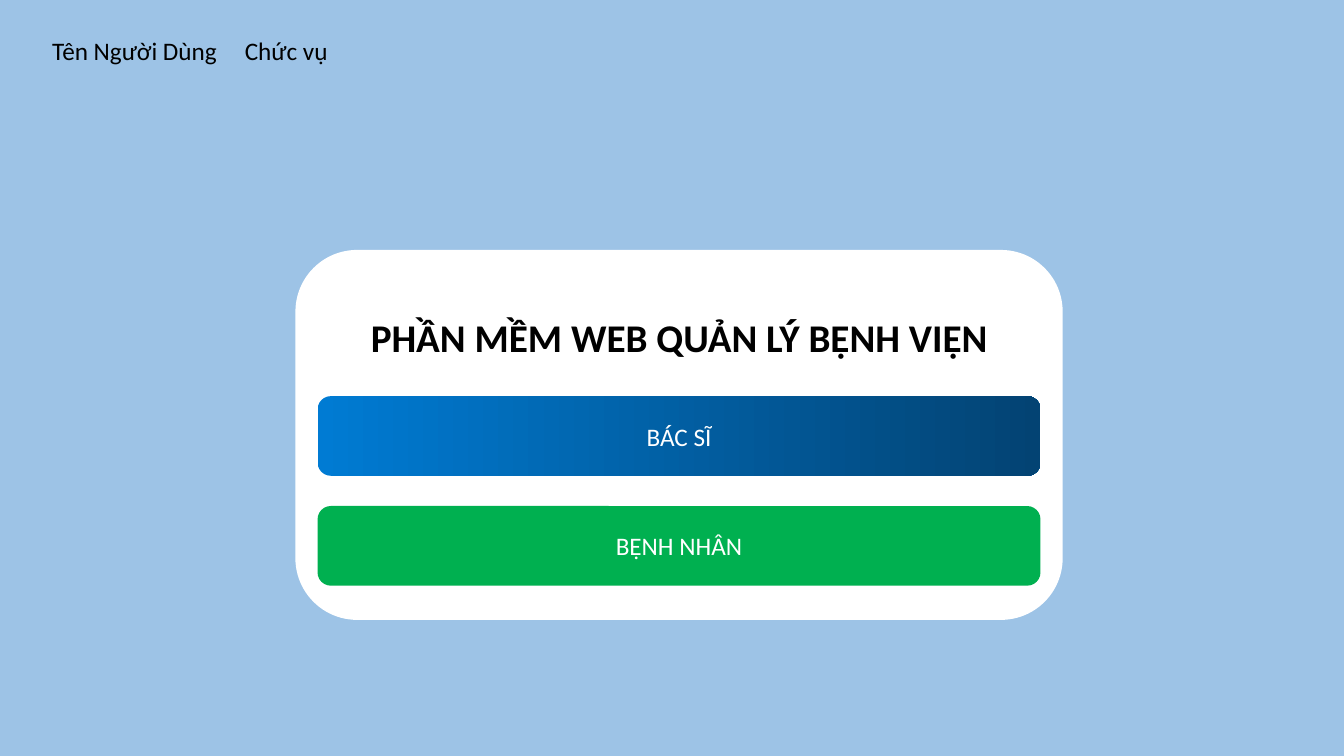
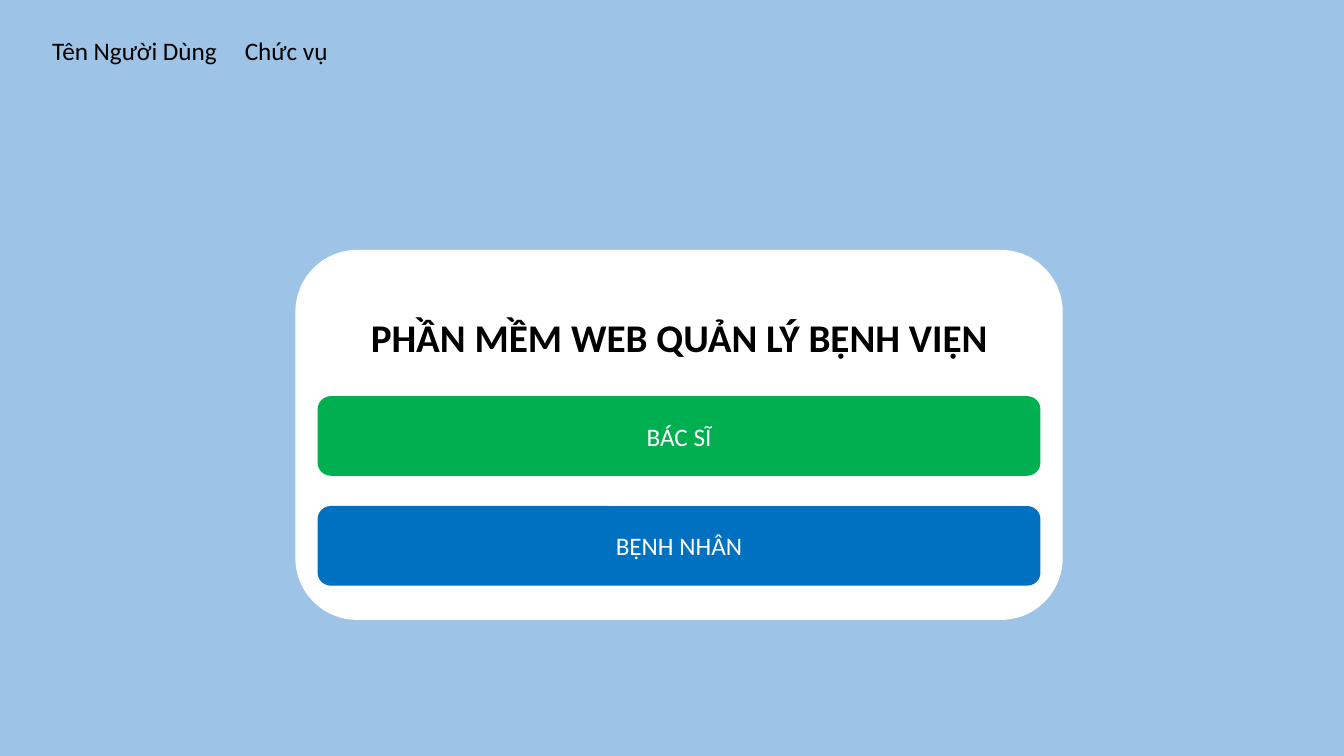
from lxml.etree import SubElement
from pptx import Presentation
from pptx.dml.color import RGBColor
from pptx.enum.shapes import MSO_SHAPE as Shape
from pptx.enum.text import MSO_ANCHOR as Anchor, PP_ALIGN as Align
from pptx.oxml.ns import qn
from pptx.util import Inches, Pt

SKY, WHITE, BLACK = "9DC3E6", "FFFFFF", "000000"
GREEN, BLUE = "00B050", "0070C0"
FADE = ("007BD3", "034373")
FONT = "Calibri"
CARD_X, CARD_W = 2.93, 7.61
BTN_X, BTN_Y, BTN_W, BTN_H, BTN_STEP = 3.15, 3.93, 7.17, 0.79, 1.09
ROLES = ("BÁC SĨ", "BỆNH NHÂN")


def rgb(code):
    return RGBColor.from_string(code)


class Deck:
    def __init__(self):
        self.prs = Presentation()
        self.prs.slide_width = Inches(13.33)
        self.prs.slide_height = Inches(7.5)

    def page(self):
        self.slide = self.prs.slides.add_slide(self.prs.slide_layouts[6])
        back = self.slide.background.fill
        back.solid()
        back.fore_color.rgb = rgb(SKY)

    def label(self, frame, text, size, color, align, bold=False):
        frame.word_wrap = True
        para = frame.paragraphs[0]
        para.text, para.alignment = text, align
        font = para.font
        font.name, font.size, font.bold = FONT, Pt(size), bold
        font.color.rgb = rgb(color)
        return para

    def text(self, x, y, w, h, text, size, align=Align.LEFT, bold=False):
        box = self.slide.shapes.add_textbox(
            Inches(x), Inches(y), Inches(w), Inches(h))
        return self.label(box.text_frame, text, size, BLACK, align, bold)

    def panel(self, x, y, w, h, paint):
        """Add a rounded box; paint is one colour or a pair to fade across."""
        box = self.slide.shapes.add_shape(
            Shape.ROUNDED_RECTANGLE, Inches(x), Inches(y), Inches(w), Inches(h))
        box.shadow.inherit = False
        box.line.fill.background()
        if isinstance(paint, str):
            box.fill.solid()
            box.fill.fore_color.rgb = rgb(paint)
        else:
            box.fill.gradient()
            box.fill.gradient_angle = 0
            for stop, code in zip(box.fill.gradient_stops, paint):
                stop.color.rgb = rgb(code)
        return box

    def button(self, y, role, paint):
        frame = self.panel(BTN_X, y, BTN_W, BTN_H, paint).text_frame
        frame.vertical_anchor = Anchor.MIDDLE
        self.label(frame, role, 18, WHITE, Align.CENTER)

    def user(self, name, role):
        """Show the user's name, with the role at a tab stop."""
        para = self.text(0.42, 0.3, 6.67, 0.4, f"{name}\t{role}", 18)
        props = para._p.get_or_add_pPr()
        tabs = SubElement(props, qn("a:tabLst"))
        SubElement(tabs, qn("a:tab"), pos=str(Inches(1.91)), algn="l")
        props.insert(0, tabs)

    def menu(self, paints):
        """Build the start page, with one button colour for each role."""
        self.page()
        self.panel(CARD_X, 2.48, CARD_W, 3.67, WHITE)
        self.text(CARD_X, 3.06, CARD_W, 0.57,
                  "PHẦN MỀM WEB QUẢN LÝ BỆNH VIỆN", 28, Align.CENTER, True)
        for i, (role, paint) in enumerate(zip(ROLES, paints)):
            self.button(BTN_Y + i * BTN_STEP, role, paint)
        self.user("Tên Người Dùng", "Chức vụ")


def main():
    deck = Deck()
    for paints in ((FADE, GREEN), (GREEN, BLUE)):
        deck.menu(paints)
    deck.prs.save("out.pptx")


if __name__ == "__main__":
    main()
